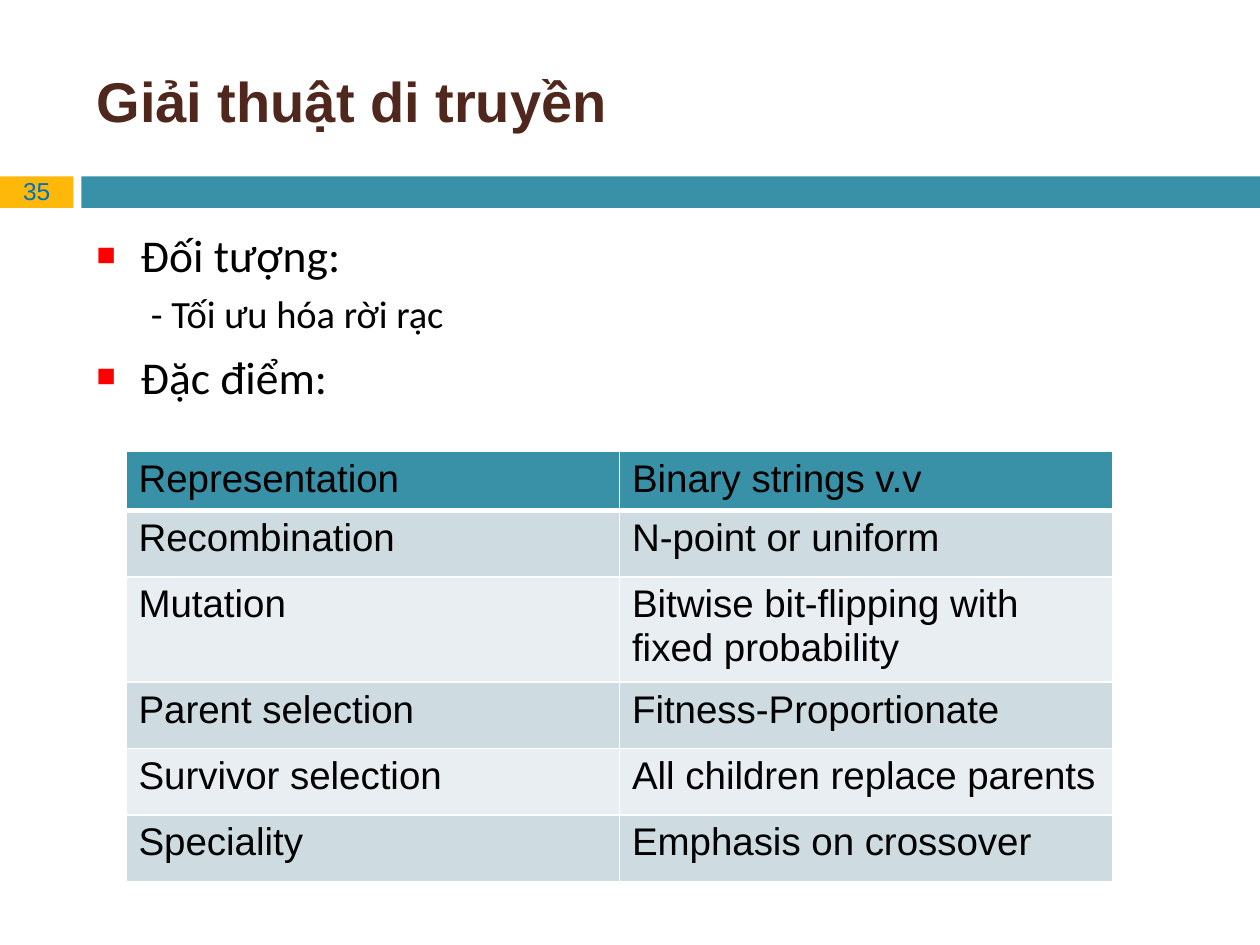
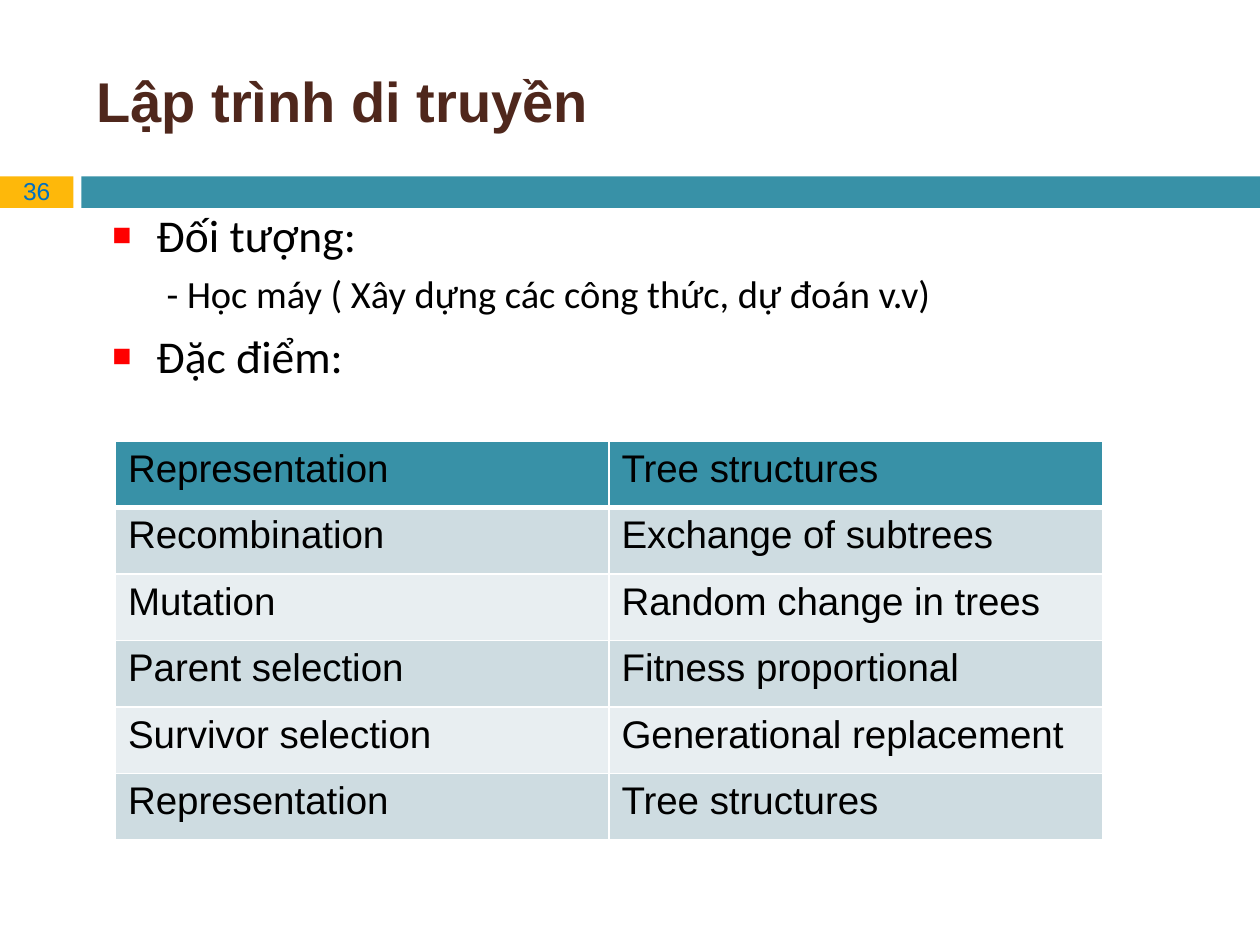
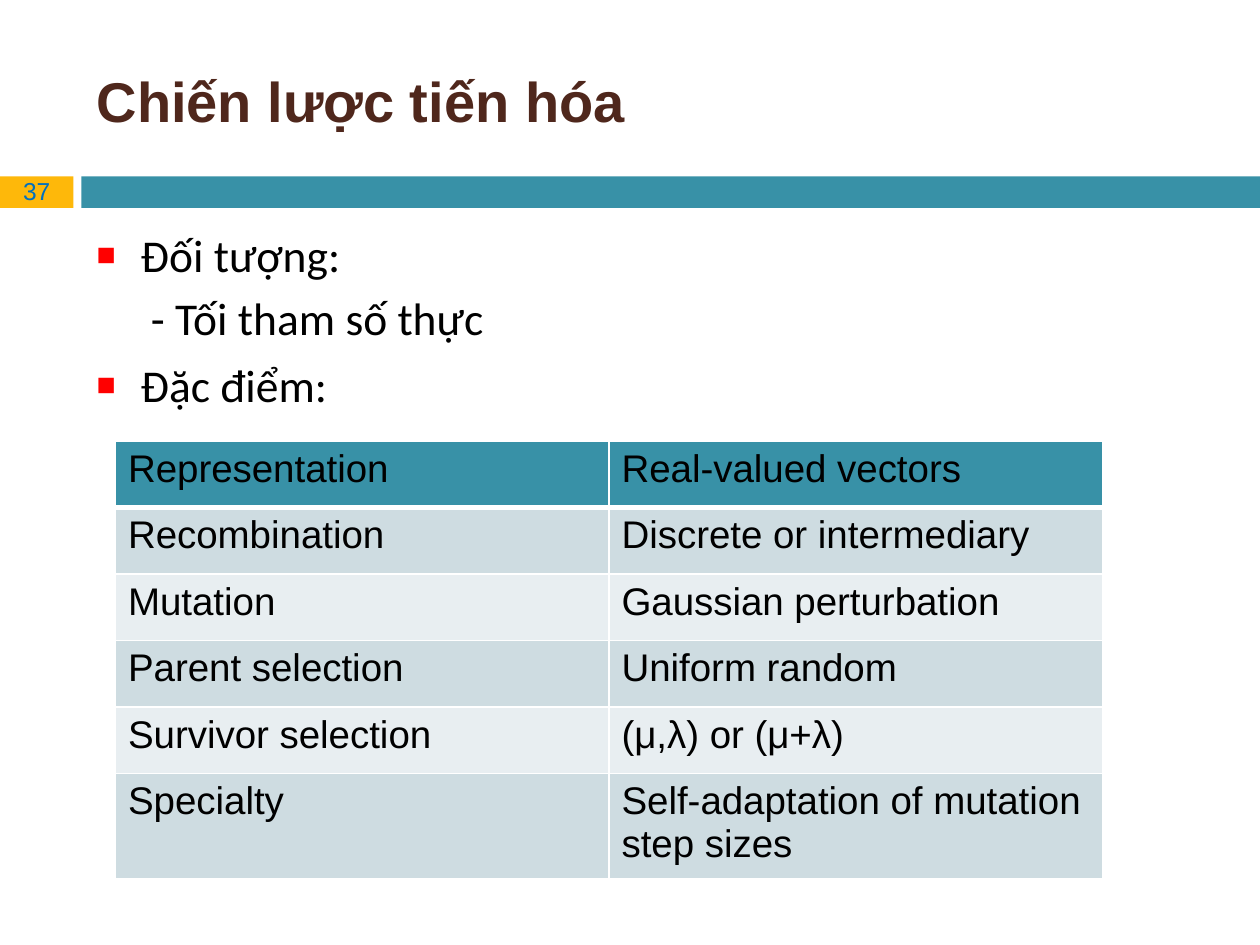
from dataclasses import dataclass

from lxml import etree
from pptx import Presentation
from pptx.dml.color import RGBColor
from pptx.enum.shapes import MSO_SHAPE
from pptx.enum.text import MSO_ANCHOR, MSO_AUTO_SIZE, PP_ALIGN
from pptx.oxml.ns import qn
from pptx.util import Pt

RECTANGLE = MSO_SHAPE.RECTANGLE
LEFT, CENTER = PP_ALIGN.LEFT, PP_ALIGN.CENTER
TOP, MIDDLE = MSO_ANCHOR.TOP, MSO_ANCHOR.MIDDLE
NO_FIT, GROW = MSO_AUTO_SIZE.NONE, MSO_AUTO_SIZE.SHAPE_TO_FIT_TEXT

# Shared colours and fonts
AMBER, TEAL, BROWN, BLUE = "FEB80A", "3891A7", "4F271C", "0070C0"
RED, BLACK, WHITE = "FF0000", "000000", "FFFFFF"
BANDS = ("E8EEF1", "CEDCE1")
HEADING_FONT, LIST_FONT = "Arial", "Calibri"

# Shared measures, in points
COLUMN_WIDTH = 282
ROW_HEIGHT = 38
TWO_LINE_HEIGHT = 56.5
FIRST_NUMBER = 35


@dataclass(frozen=True)
class Area:
    left: float
    top: float
    width: float
    height: float

    def points(self) -> tuple:
        return Pt(self.left), Pt(self.top), Pt(self.width), Pt(self.height)


@dataclass(frozen=True)
class Topic:
    title: str
    goal: str
    rows: tuple
    heights: tuple = (ROW_HEIGHT,) * 6
    goal_size: float = 22
    body: Area = Area(48, 126, 642, 354)
    table_left: float = 66
    table_top: float = 252


TITLE_AREA = Area(48, 18, 642, 78)
NUMBER_AREA = Area(0, 97, 42, 24.5)
BAND_AREAS = ((Area(0, 100.8, 42, 18), AMBER), (Area(46.5, 100.8, 673.5, 18), TEAL))

TOPICS = (
    Topic(
        "Giải thuật di truyền",
        "- Tối ưu hóa rời rạc",
        (
            ("Representation", "Binary strings v.v"),
            ("Recombination", "N-point or uniform"),
            ("Mutation", "Bitwise bit-flipping with fixed probability"),
            ("Parent selection", "Fitness-Proportionate"),
            ("Survivor selection", "All children replace parents"),
            ("Speciality", "Emphasis on crossover"),
        ),
        heights=(31.5, ROW_HEIGHT, TWO_LINE_HEIGHT) + (ROW_HEIGHT,) * 3,
        table_left=72,
        table_top=258,
    ),
    Topic(
        "Lập trình di truyền",
        "- Học máy ( Xây dựng các công thức, dự đoán v.v)",
        (
            ("Representation", "Tree structures"),
            ("Recombination", "Exchange of subtrees"),
            ("Mutation", "Random change in trees"),
            ("Parent selection", "Fitness proportional"),
            ("Survivor selection", "Generational replacement"),
            ("Representation", "Tree structures"),
        ),
        body=Area(57, 114.5, 648, 368.5),
    ),
    Topic(
        "Chiến lược tiến hóa",
        "- Tối tham số thực",
        (
            ("Representation", "Real-valued vectors"),
            ("Recombination", "Discrete or intermediary"),
            ("Mutation", "Gaussian perturbation"),
            ("Parent selection", "Uniform random"),
            ("Survivor selection", "(μ,λ) or (μ+λ)"),
            ("Specialty", "Self-adaptation of mutation step sizes"),
        ),
        heights=(ROW_HEIGHT,) * 5 + (TWO_LINE_HEIGHT,),
        goal_size=26,
    ),
)


def color(value: str) -> RGBColor:
    return RGBColor.from_string(value)


def write(para, text: str, *, size: float, font: str = HEADING_FONT, ink: str = BLACK,
          bold: bool = False, align=LEFT, before: float = 0) -> None:
    para.alignment = align
    para.space_before = Pt(before)
    span = para.add_run()
    span.text = text
    span.font.name = font
    span.font.size = Pt(size)
    span.font.bold = bold
    span.font.color.rgb = color(ink)


def place(shape, area: Area) -> None:
    shape.left, shape.top, shape.width, shape.height = area.points()


def set_frame(frame, anchor, fit) -> None:
    frame.word_wrap = True
    frame.auto_size = fit
    frame.vertical_anchor = anchor


def indent(para, left: float, first: float, bullet: bool) -> None:
    properties = para._p.get_or_add_pPr()
    properties.set("marL", str(Pt(left)))
    properties.set("indent", str(Pt(first)))
    if not bullet:
        etree.SubElement(properties, qn("a:buNone"))
        return
    bullet_color = etree.SubElement(properties, qn("a:buClr"))
    etree.SubElement(bullet_color, qn("a:srgbClr"), val=RED)
    etree.SubElement(properties, qn("a:buSzPct"), val="70000")
    etree.SubElement(properties, qn("a:buFont"), typeface=HEADING_FONT)
    etree.SubElement(properties, qn("a:buChar"), char="■")


def add_bands(page, number: int) -> None:
    for area, fill in BAND_AREAS:
        band = page.shapes.add_shape(RECTANGLE, *area.points())
        band.shadow.inherit = False
        band.fill.solid()
        band.fill.fore_color.rgb = color(fill)
        band.line.fill.background()
    box = page.shapes.add_textbox(*NUMBER_AREA.points())
    set_frame(box.text_frame, TOP, GROW)
    write(box.text_frame.paragraphs[0], str(number), size=14, ink=BLUE, align=CENTER)


def fill_title(page, text: str) -> None:
    title = page.shapes.title
    place(title, TITLE_AREA)
    set_frame(title.text_frame, MIDDLE, NO_FIT)
    write(title.text_frame.paragraphs[0], text, size=32, ink=BROWN, bold=True)


def fill_list(page, topic: Topic) -> None:
    body = page.placeholders[1]
    place(body, topic.body)
    frame = body.text_frame
    set_frame(frame, TOP, NO_FIT)
    target = frame.paragraphs[0]
    indent(target, 25.2, -25.2, True)
    write(target, "Đối tượng:", size=26, font=LIST_FONT)
    goal = frame.add_paragraph()
    goal.level = 1
    indent(goal, 58.3, -27.3, False)
    write(goal, topic.goal, size=topic.goal_size, font=LIST_FONT, before=5)
    features = frame.add_paragraph()
    indent(features, 25.2, -25.2, True)
    write(features, "Đặc điểm:", size=26, font=LIST_FONT, before=7)


def add_borders(cell, bottom: float) -> None:
    properties = cell._tc.get_or_add_tcPr()
    for side, width in (("L", 1), ("R", 1), ("T", 1), ("B", bottom)):
        line = etree.SubElement(properties, qn(f"a:ln{side}"), w=str(Pt(width)))
        fill = etree.SubElement(line, qn("a:solidFill"))
        etree.SubElement(fill, qn("a:srgbClr"), val=WHITE)


def add_features(page, topic: Topic) -> None:
    area = Area(topic.table_left, topic.table_top, 2 * COLUMN_WIDTH, sum(topic.heights))
    table = page.shapes.add_table(len(topic.rows), 2, *area.points()).table
    table.first_row = table.horz_banding = False
    for column in table.columns:
        column.width = Pt(COLUMN_WIDTH)
    for index, (texts, height) in enumerate(zip(topic.rows, topic.heights)):
        table.rows[index].height = Pt(height)
        for cell, text in zip(table.rows[index].cells, texts):
            add_borders(cell, bottom=1 if index else 3)
            cell.fill.solid()
            cell.fill.fore_color.rgb = color(BANDS[index % 2] if index else TEAL)
            write(cell.text_frame.paragraphs[0], text, size=22)


def main() -> None:
    deck = Presentation()
    deck.slide_width, deck.slide_height = Pt(720), Pt(540)
    for number, topic in enumerate(TOPICS, FIRST_NUMBER):
        page = deck.slides.add_slide(deck.slide_layouts[1])
        add_bands(page, number)
        fill_title(page, topic.title)
        fill_list(page, topic)
        add_features(page, topic)
    deck.save("out.pptx")


if __name__ == "__main__":
    main()
